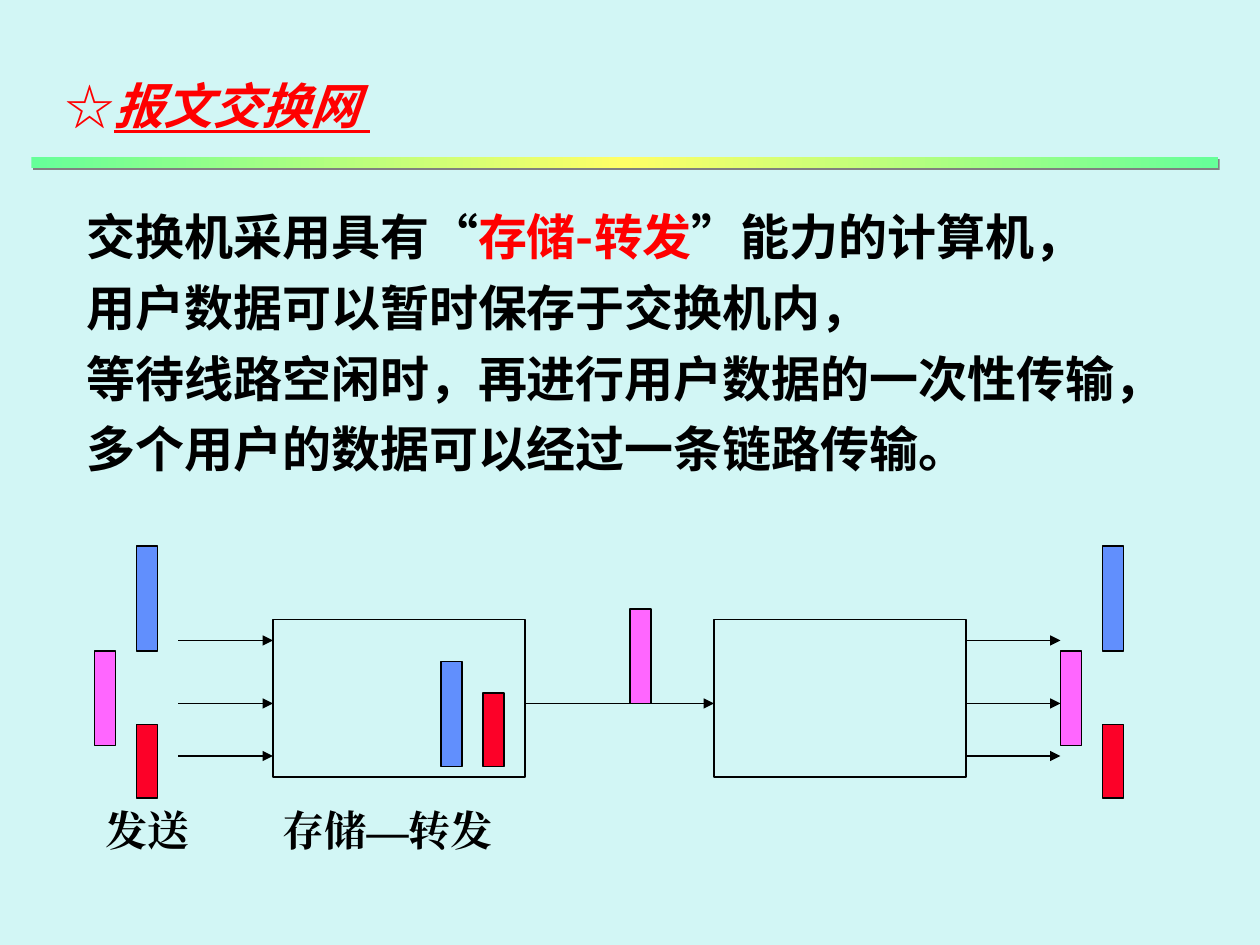
"""Build the slide on message switching networks."""
from dataclasses import dataclass

from pptx import Presentation
from pptx.dml.color import RGBColor as Rgb
from pptx.enum.shapes import MSO_CONNECTOR as Link, MSO_SHAPE as Form
from pptx.enum.text import MSO_ANCHOR as Anchor, MSO_AUTO_SIZE as Fit, PP_ALIGN as Align
from pptx.oxml import parse_xml
from pptx.oxml.ns import nsdecls, qn
from pptx.util import Pt


@dataclass(frozen=True)
class Theme:
    back: str = "D2F6F5"
    ink: str = "000000"
    accent: str = "FF0000"
    blue: str = "618FFD"
    red: str = "FC0128"
    pink: str = "FF66FF"
    edge: str = "66FF99"
    mid: str = "FFFF66"
    shade: str = "808080"
    sans: str = "Noto Sans CJK SC"
    serif: str = "Times New Roman"
    big: int = 28
    small: int = 24
    pitch: float = 40.5


LOOK = Theme()
PX = 9525
SIZE = (960, 720)

TITLE = "报文交换网 "
BODY = [
    [("交换机采用具有“", LOOK.ink), ("存储-转发", LOOK.accent), ("”能力的计算机，", LOOK.ink)],
    [("用户数据可以暂时保存于交换机内，", LOOK.ink)],
    [("等待线路空闲时，再进行用户数据的一次性传输，", LOOK.ink)],
    [("多个用户的数据可以经过一条链路传输。", LOOK.ink)],
]
LABELS = [("发送", 71, 83), ("存储—转发", 206, 179)]

THICK = 16
TALL = {LOOK.blue: 80, LOOK.red: 56, LOOK.pink: 72}
USERS = [(LOOK.blue, 104, 416), (LOOK.red, 104, 552), (LOOK.pink, 72, 496)]
SHIFT = 736
STORED = [(LOOK.blue, 336, 504), (LOOK.red, 368, 528)]
MOVING = [(LOOK.pink, 480, 464)]
NODES = [(208, 472, 192, 120), (544, 472, 192, 120)]
ROWS = [488, 536, 576]
FLOWS = [(x, x + 72, y) for x in (136, 736) for y in ROWS] + [(400, 544, 536)]


def emu(*vals):
    return [v * PX for v in vals]


def node(tag, inner="", attrs=""):
    return parse_xml(f"<a:{tag} {nsdecls('a')} {attrs}>{inner}</a:{tag}>")


def tint(code):
    return f'<a:srgbClr val="{code}"/>'


def style(run, color, size=LOOK.big, face=LOOK.sans):
    font = run.font
    font.name, font.size, font.bold = face, Pt(size), True
    font.color.rgb = Rgb.from_string(color)
    font._element.find(qn("a:latin")).addnext(node("ea", attrs=f'typeface="{face}"'))


def place(shape, box):
    shape.left, shape.top, shape.width, shape.height = emu(*box)
    frame = shape.text_frame
    frame.margin_left = frame.margin_right = frame.margin_top = frame.margin_bottom = 0
    frame.vertical_anchor, frame.auto_size, frame.word_wrap = Anchor.TOP, Fit.NONE, True
    return frame


def space(para, left, hang):
    para.alignment, para.line_spacing = Align.LEFT, Pt(LOOK.pitch)
    para.space_before = para.space_after = Pt(0)
    props = para._p.get_or_add_pPr()
    props.set("marL", str(left * PX))
    props.set("indent", str(-hang * PX))
    return props


def head(shape):
    frame = place(shape, (50, 48, 860, 56))
    frame.text = TITLE
    para = frame.paragraphs[0]
    props = space(para, 33, 33)
    props.append(node("buClr", tint(LOOK.accent)))
    props.append(node("buFont", attrs=f'typeface="{LOOK.sans}"'))
    props.append(node("buChar", attrs='char="☆"'))
    for run in para.runs:
        style(run, LOOK.accent)
        run.font.italic = run.font.underline = True


def prose(shape):
    frame = place(shape, (66, 148, 870, 220))
    for i, parts in enumerate(BODY):
        para = frame.add_paragraph() if i else frame.paragraphs[0]
        space(para, 0, 0).append(node("buNone"))
        for text, color in parts:
            run = para.add_run()
            run.text = text
            style(run, color)


def band(shapes):
    bar = shapes.add_shape(Form.RECTANGLE, *emu(24, 120, 904, 8))
    bar.line.fill.background()
    bar.fill.gradient()
    bar.fill.gradient_angle = 0
    stops = bar.element.spPr.find(".//" + qn("a:gsLst"))
    stops.clear()
    for pos, code in ((0, LOOK.edge), (50, LOOK.mid), (100, LOOK.edge)):
        stops.append(node("gs", tint(code), f'pos="{pos * 1000}"'))
    cast = f'<a:outerShdw dist="17780" dir="2700000">{tint(LOOK.shade)}</a:outerShdw>'
    bar.element.spPr.append(node("effectLst", cast))


def rect(shapes, box, color=None):
    shape = shapes.add_shape(Form.RECTANGLE, *emu(*box))
    shape.shadow.inherit = False
    if color:
        shape.fill.solid()
        shape.fill.fore_color.rgb = Rgb.from_string(color)
    else:
        shape.fill.background()
    shape.line.color.rgb = Rgb.from_string(LOOK.ink)
    shape.line.width = Pt(1)


def arrow(shapes, start, end, y):
    line = shapes.add_connector(Link.STRAIGHT, *emu(start, y, end, y))
    line.line.color.rgb = Rgb.from_string(LOOK.ink)
    line.line.width = Pt(1)
    props = line.element.spPr
    props.find(qn("a:ln")).append(node("tailEnd", attrs='type="triangle"'))
    props.append(node("effectLst"))


def label(shapes, text, left, width):
    frame = shapes.add_textbox(*emu(left, 608, width, 48)).text_frame
    frame.word_wrap = False
    frame.text = text
    style(frame.paragraphs[0].runs[0], LOOK.ink, LOOK.small, LOOK.serif)


def main():
    deck = Presentation()
    deck.slide_width, deck.slide_height = emu(*SIZE)
    slide = deck.slides.add_slide(deck.slide_layouts[1])
    slide.background.fill.solid()
    slide.background.fill.fore_color.rgb = Rgb.from_string(LOOK.back)
    head(slide.shapes.title)
    prose(slide.placeholders[1])
    band(slide.shapes)

    group = slide.shapes.add_group_shape().shapes
    for box in NODES:
        rect(group, box)
    for flow in FLOWS:
        arrow(group, *flow)
    far = [(color, x + SHIFT, y) for color, x, y in USERS]
    for color, x, y in USERS + far + STORED + MOVING:
        rect(group, (x, y, THICK, TALL[color]), color)
    for item in LABELS:
        label(slide.shapes, *item)
    deck.save("out.pptx")


if __name__ == "__main__":
    main()
